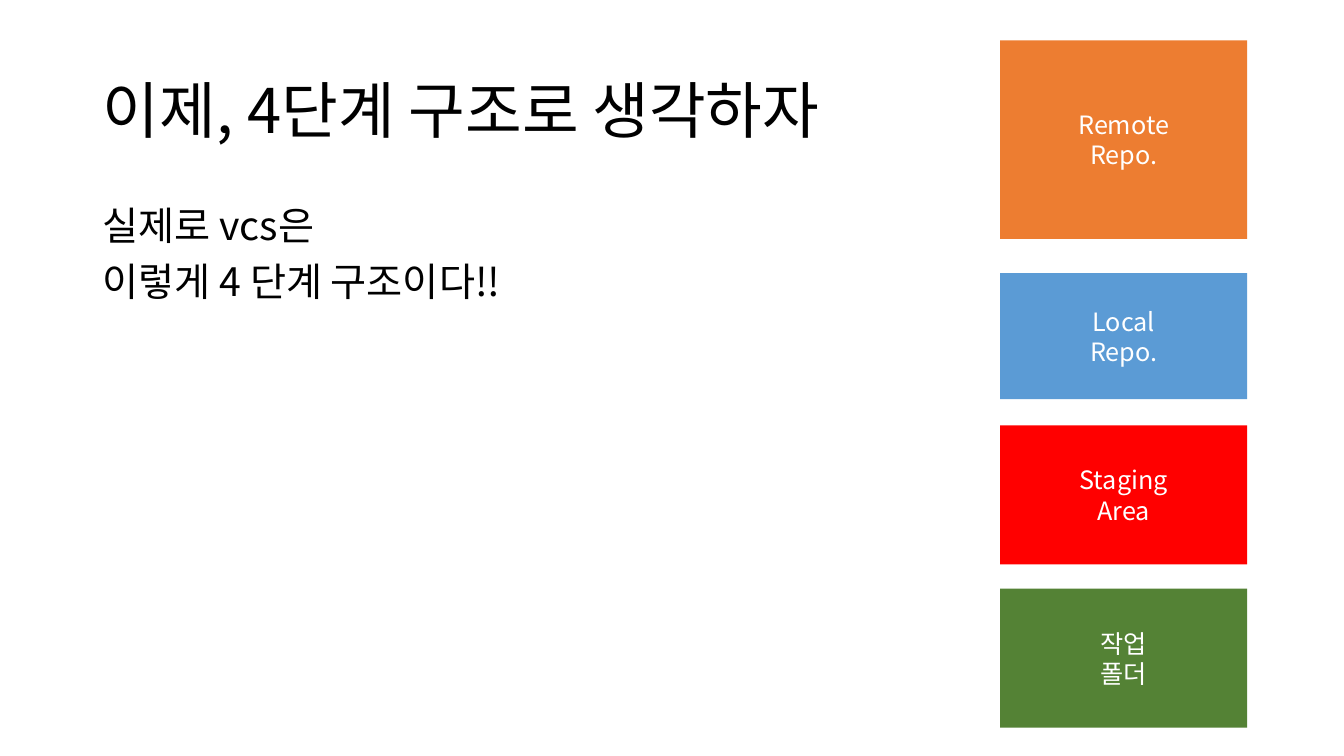
from lxml.etree import SubElement
from pptx import Presentation
from pptx.dml.color import RGBColor
from pptx.enum.shapes import MSO_SHAPE
from pptx.enum.text import MSO_ANCHOR, MSO_AUTO_SIZE, PP_ALIGN
from pptx.oxml.ns import qn
from pptx.util import Inches, Pt

BLACK = RGBColor(0x00, 0x00, 0x00)
WHITE = RGBColor(0xFF, 0xFF, 0xFF)
ORANGE = RGBColor(0xED, 0x7D, 0x31)
BLUE = RGBColor(0x5B, 0x9B, 0xD5)
RED = RGBColor(0xFF, 0x00, 0x00)
GREEN = RGBColor(0x54, 0x82, 0x35)

FONT = "Noto Sans CJK KR"
TITLE_FORMAT = {"alignment": PP_ALIGN.LEFT, "line_spacing": 0.9}
BODY_FORMAT = {**TITLE_FORMAT, "space_before": Pt(10)}
STAGE_FORMAT = {"alignment": PP_ALIGN.CENTER}

STAGES = [
    (["Remote", "Repo."], ORANGE, 0, 1.97),
    (["Local", "Repo."], BLUE, 2.31, 1.25),
    (["Staging", "Area"], RED, 3.82, 1.38),
    (["작업", "폴더"], GREEN, 5.44, 1.38),
]


def apply_format(target, values):
    """Set each attribute named in values on the target."""
    for attribute, value in values.items():
        setattr(target, attribute, value)


def write_lines(frame, lines, size, color, anchor, paragraph_format):
    """Fill a text frame with one formatted paragraph per line."""
    apply_format(frame, {"word_wrap": True, "auto_size": MSO_AUTO_SIZE.NONE,
                         "vertical_anchor": anchor})
    for index, line in enumerate(lines):
        paragraph = frame.paragraphs[0] if index == 0 else frame.add_paragraph()
        apply_format(paragraph, paragraph_format)
        run = paragraph.add_run()
        run.text = line
        apply_format(run.font, {"name": FONT, "size": Pt(size)})
        run.font.color.rgb = color
        SubElement(run.font._element, qn("a:ea"), typeface=FONT)


def place(placeholder, left, top, width, height):
    """Move a placeholder into the given box."""
    apply_format(placeholder, {"left": Inches(left), "top": Inches(top),
                               "width": Inches(width), "height": Inches(height)})


def add_title(slide, left, top, width, height):
    """Write the slide title in its placeholder."""
    title = slide.shapes.title
    place(title, left, top, width, height)
    write_lines(title.text_frame, ["이제, 4단계 구조로 생각하자"], 44, BLACK,
                MSO_ANCHOR.MIDDLE, TITLE_FORMAT)


def add_explanation(slide, left, top, width, height):
    """Write the unbulleted explanation in the body placeholder."""
    explanation = slide.placeholders[1]
    place(explanation, left, top, width, height)
    write_lines(explanation.text_frame, ["실제로 vcs은", "이렇게 4 단계 구조이다!!"],
                28, BLACK, MSO_ANCHOR.TOP, BODY_FORMAT)
    for paragraph in explanation.text_frame.paragraphs:
        properties = paragraph._p.get_or_add_pPr()
        properties.set("marL", "0")
        properties.set("indent", "0")
        SubElement(properties, qn("a:buNone"))


def add_stages(slide, left, top, width):
    """Stack the four version control stages in a column."""
    for lines, color, offset, height in STAGES:
        stage = slide.shapes.add_shape(
            MSO_SHAPE.RECTANGLE, Inches(left), Inches(top + offset),
            Inches(width), Inches(height))
        stage.shadow.inherit = False
        stage.fill.solid()
        stage.fill.fore_color.rgb = color
        stage.line.fill.background()
        write_lines(stage.text_frame, lines, 18, WHITE, MSO_ANCHOR.MIDDLE, STAGE_FORMAT)


def main():
    """Build and save the slide."""
    deck = Presentation()
    apply_format(deck, {"slide_width": Inches(13.33), "slide_height": Inches(7.5)})
    slide = deck.slides.add_slide(deck.slide_layouts[1])
    add_title(slide, 0.92, 0.4, 11.5, 1.45)
    add_explanation(slide, 0.92, 2, 11.5, 4.76)
    add_stages(slide, 9.92, 0.4, 2.45)
    deck.save("out.pptx")


if __name__ == "__main__":
    main()
